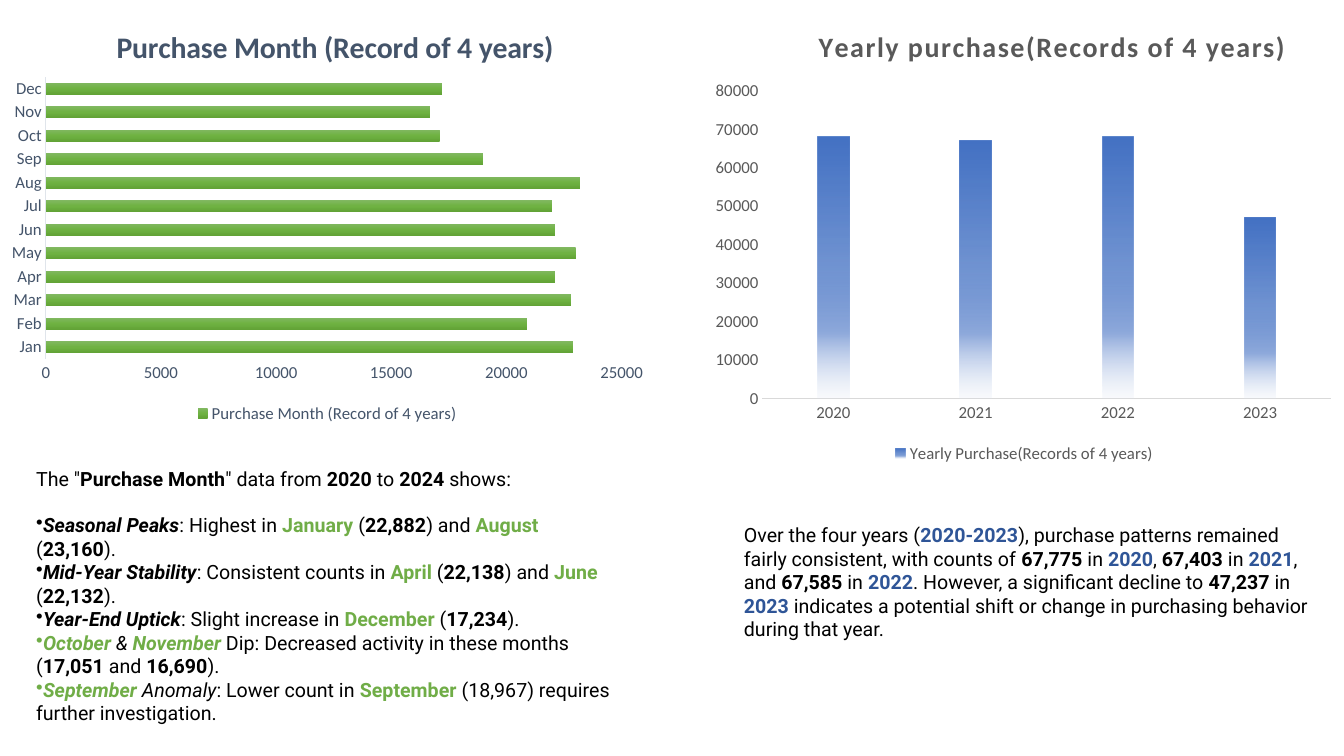
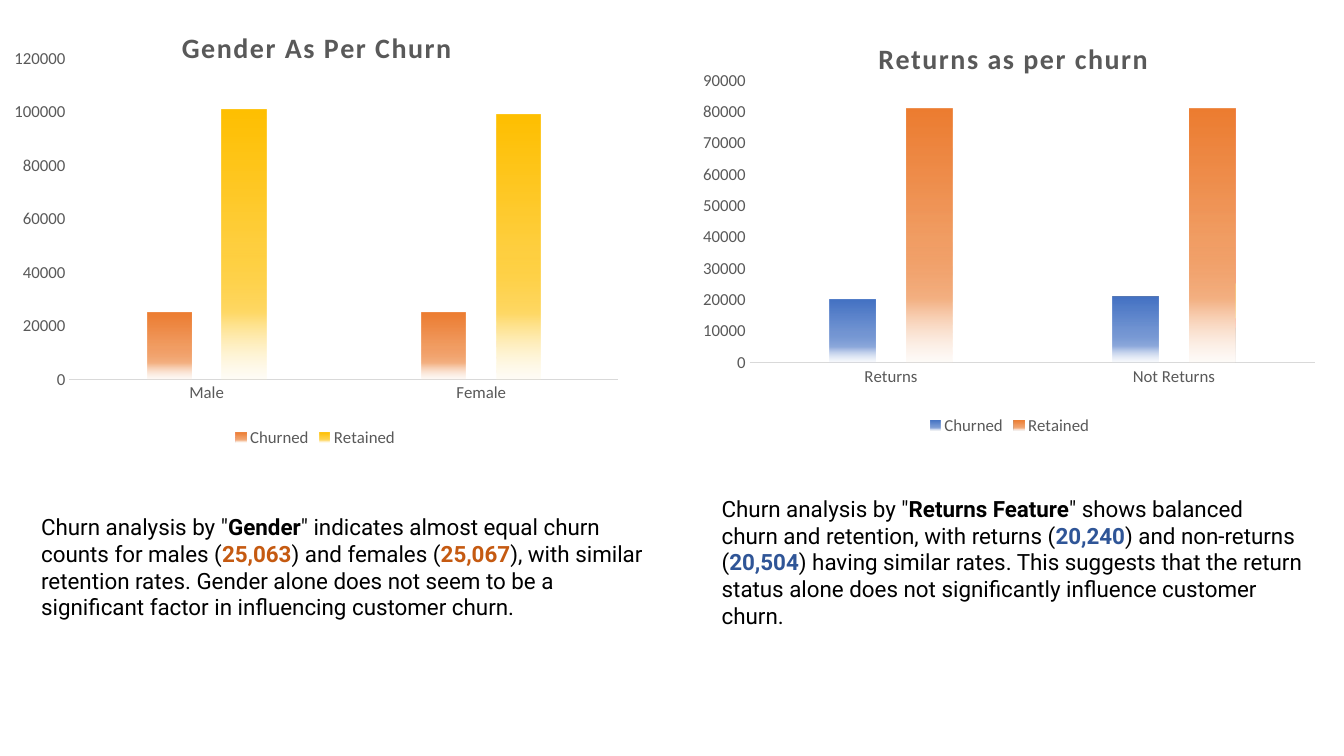
import pptx
import pptx.chart.data
import pptx.dml.color
import pptx.enum.chart
import pptx.enum.text
import pptx.oxml
import pptx.oxml.ns
import pptx.util

Inches = pptx.util.Inches
Pt = pptx.util.Pt
RGBColor = pptx.dml.color.RGBColor
Kind = pptx.enum.chart.XL_CHART_TYPE
qn = pptx.oxml.ns.qn

BLACK = RGBColor(0x00, 0x00, 0x00)
SLATE = RGBColor(0x44, 0x54, 0x6A)
MIST = RGBColor(0xE0, 0xE5, 0xEB)
GREY = RGBColor(0x59, 0x59, 0x59)
SILVER = RGBColor(0xD9, 0xD9, 0xD9)
GREEN = RGBColor(0x70, 0xAD, 0x47)
BLUE = RGBColor(0x2F, 0x55, 0x97)
RUST = RGBColor(0xC5, 0x5A, 0x11)

LEAF = [(0, "81B861", 100), (50, "6FB242", 100), (100, "62A336", 100)]
SKY, FLAME, GOLD = [
    [(0, base, 100), (51, base, 75), (75, mid, 100), (100, pale, 15)]
    for base, mid, pale in [
        ("4472C4", "8FAADC", "DAE3F3"),
        ("ED7D31", "F4B183", "FBE5D6"),
        ("FFC000", "FFD966", "FFF2CC"),
    ]
]


def place(part, index, spot):
    for old in part.findall(qn("c:layout")):
        part.remove(old)
    names = ("x", "y", "w", "h")[:len(spot)]
    target = '<c:layoutTarget val="inner"/>' if len(spot) == 4 else ""
    modes = "".join(f'<c:{n}Mode val="edge"/>' for n in names[:2])
    sizes = "".join(f'<c:{n} val="{v}"/>' for n, v in zip(names, spot))
    part.insert(index, pptx.oxml.parse_xml(
        f'<c:layout {pptx.oxml.ns.nsdecls("c")}><c:manualLayout>'
        f'{target}{modes}{sizes}</c:manualLayout></c:layout>'))


def shade(series, stops):
    marks = "".join(
        f'<a:gs pos="{pos * 1000}"><a:srgbClr val="{tint}">'
        f'<a:alpha val="{alpha * 1000}"/></a:srgbClr></a:gs>'
        for pos, tint, alpha in stops)
    series._element.get_or_add_spPr().insert(0, pptx.oxml.parse_xml(
        f'<a:gradFill {pptx.oxml.ns.nsdecls("a")} rotWithShape="1"><a:gsLst>{marks}'
        '</a:gsLst><a:lin ang="5400000" scaled="0"/></a:gradFill>'))


charts = [
    dict(page=0, box=(0, 0, 6.49, 4.24), kind=Kind.BAR_CLUSTERED,
         title="Purchase Month (Record of 4 years)", head=(0.17, 0.05), size=21.3, track=0,
         ink=SLATE, rule=MIST, gap=100, lap=0, top=25000, step=5000,
         plot=(0.07, 0.18, 0.88, 0.66),
         cats=["Jan", "Feb", "Mar", "Apr", "May", "Jun",
               "Jul", "Aug", "Sep", "Oct", "Nov", "Dec"],
         rows=[("Purchase Month (Record of 4 years)", LEAF,
                [22900, 20900, 22800, 22100, 23000, 22100,
                 22000, 23200, 19000, 17100, 16700, 17200])]),
    dict(page=0, box=(6.99, 0.08, 6.34, 4.56),
         title="Yearly purchase(Records of 4 years)", head=(0.17, 0.03),
         top=80000, step=10000, plot=(0.09, 0.18, 0.89, 0.67),
         cats=["2020", "2021", "2022", "2023"],
         rows=[("Yearly Purchase(Records of 4 years)", SKY, [68000, 67000, 68000, 47000])]),
    dict(page=1, box=(0, 0, 6.26, 4.48),
         title="Gender As Per Churn", head=(0.28, 0.05),
         top=120000, step=20000, plot=(0.11, 0.13, 0.87, 0.71),
         cats=["Male", "Female"],
         rows=[("Churned", FLAME, [25000, 25000]), ("Retained", GOLD, [101000, 99000])]),
    dict(page=1, box=(6.79, 0.12, 6.45, 4.24),
         title="Returns as per churn", head=(0.29, 0.05),
         top=90000, step=10000, plot=(0.1, 0.16, 0.87, 0.66),
         cats=["Returns", "Not Returns"],
         rows=[("Churned", SKY, [20000, 21000]), ("Retained", FLAME, [81000, 81000])]),
]
usual = dict(kind=Kind.COLUMN_CLUSTERED, size=20, track=100,
             ink=GREY, rule=SILVER, gap=355, lap=-70)

notes = [
    dict(page=0, box=(7.28, 5.14, 5.96, 1.04), size=14, paras=[[
        "Over the four years (", ("2020-2023", "b", BLUE),
        "), purchase patterns remained fairly consistent, with counts of ",
        ("67,775", "b", BLACK), " in ", ("2020", "b", BLUE), ", ",
        ("67,403", "b", BLACK), " in ", ("2021", "b", BLUE), ", and ",
        ("67,585", "b", BLACK), " in ", ("2022", "b", BLUE),
        ". However, a significant decline to ", ("47,237", "b", BLACK), " in ",
        ("2023", "b", BLUE),
        " indicates a potential shift or change in purchasing behavior during that year."]]),
    dict(page=0, box=(0.26, 4.58, 5.96, 2.76), size=14, paras=[
        ["The \"", ("Purchase Month", "b", BLACK), "\" data from ", ("2020", "b", BLACK),
         " to ", ("2024", "b", BLACK), " shows:"],
        [("Seasonal Peaks", "bi", BLACK), ": Highest in ", ("January", "b", GREEN), " (",
         ("22,882", "b", BLACK), ") and ", ("August", "b", GREEN), " (",
         ("23,160", "b", BLACK), ")."],
        [("Mid-Year Stability", "bi", BLACK), ": Consistent counts in ",
         ("April", "b", GREEN), " (", ("22,138", "b", BLACK), ") and ",
         ("June", "b", GREEN), " (", ("22,132", "b", BLACK), ")."],
        [("Year-End Uptick", "bi", BLACK), ": Slight increase in ",
         ("December", "b", GREEN), " (", ("17,234", "b", BLACK), ")."],
        [("October ", "bi", GREEN), ("& ", "i", BLACK), ("November", "bi", GREEN),
         " Dip: Decreased activity in these months (", ("17,051", "b", BLACK), " and ",
         ("16,690", "b", BLACK), ")."],
        [("September ", "bi", GREEN), ("Anomaly", "i", BLACK), ": Lower count in ",
         ("September", "b", GREEN), " (18,967) requires further investigation."]]),
    dict(page=1, box=(7.06, 4.86, 5.96, 1.18), size=16, paras=[[
        "Churn analysis by \"", ("Returns Feature", "b", BLACK),
        "\" shows balanced churn and retention, with returns (", ("20,240", "b", BLUE),
        ") and non-returns (", ("20,504", "b", BLUE),
        ") having similar rates. This suggests that the return status alone does not "
        "significantly influence customer churn."]]),
    dict(page=1, box=(0.31, 5.04, 6.26, 1.18), size=16, paras=[[
        "Churn analysis by \"", ("Gender", "b", BLACK),
        "\" indicates almost equal churn counts for males (", ("25,063", "b", RUST),
        ") and females (", ("25,067", "b", RUST),
        "), with similar retention rates. Gender alone does not seem to be a "
        "significant factor in influencing customer churn."]]),
]

deck = pptx.Presentation()
deck.slide_width = Inches(13.33)
deck.slide_height = Inches(7.5)
pages = [deck.slides.add_slide(deck.slide_layouts[6]) for _ in range(2)]

for item in charts:
    item = {**usual, **item}
    data = pptx.chart.data.CategoryChartData()
    data.categories = item["cats"]
    for name, stops, vals in item["rows"]:
        data.add_series(name, vals)
    box = [Inches(n) for n in item["box"]]
    chart = pages[item["page"]].shapes.add_chart(item["kind"], *box, data).chart
    chart.font.name = "Calibri"
    chart.font.size = Pt(12)
    chart.font.color.rgb = item["ink"]

    chart.has_title = True
    line = chart.chart_title.text_frame.paragraphs[0]
    run = line.add_run()
    run.text = item["title"]
    run.font.name = "Calibri"
    run.font.size = Pt(item["size"])
    run.font.bold = True
    run.font.color.rgb = item["ink"]
    run.font._element.set("spc", str(item["track"]))
    chart.chart_title.include_in_layout = False
    place(chart.chart_title._element, 1, item["head"])
    place(chart._chartSpace.chart.plotArea, 0, item["plot"])

    chart.has_legend = True
    chart.legend.position = pptx.enum.chart.XL_LEGEND_POSITION.BOTTOM
    chart.legend.include_in_layout = False

    for axis in (chart.category_axis, chart.value_axis):
        axis.has_major_gridlines = False
        axis.major_tick_mark = pptx.enum.chart.XL_TICK_MARK.NONE
        axis.minor_tick_mark = pptx.enum.chart.XL_TICK_MARK.NONE
    chart.category_axis.format.line.color.rgb = item["rule"]
    chart.category_axis.format.line.width = Pt(0.75)
    chart.value_axis.format.line.fill.background()
    chart.value_axis.minimum_scale = 0
    chart.value_axis.maximum_scale = item["top"]
    chart.value_axis.major_unit = item["step"]

    plot = chart.plots[0]
    plot.gap_width = item["gap"]
    plot.overlap = item["lap"]
    plot.vary_by_categories = False
    for series, (name, stops, vals) in zip(plot.series, item["rows"]):
        series.invert_if_negative = False
        shade(series, stops)

for note in notes:
    box = [Inches(n) for n in note["box"]]
    frame = pages[note["page"]].shapes.add_textbox(*box).text_frame
    frame.word_wrap = True
    frame.auto_size = pptx.enum.text.MSO_AUTO_SIZE.SHAPE_TO_FIT_TEXT
    for count, parts in enumerate(note["paras"]):
        para = frame.add_paragraph() if count else frame.paragraphs[0]
        if count:
            para._p.get_or_add_pPr().append(pptx.oxml.parse_xml(
                f'<a:buChar {pptx.oxml.ns.nsdecls("a")} char="•"/>'))
        elif len(note["paras"]) > 1:
            para.space_after = Pt(16.4)
        for part in parts:
            text, look, tint = (part, "", BLACK) if isinstance(part, str) else part
            run = para.add_run()
            run.text = text
            run.font.name = "Roboto"
            run.font.size = Pt(note["size"])
            run.font.bold = "b" in look
            run.font.italic = "i" in look
            run.font.color.rgb = tint

deck.save("out.pptx")
